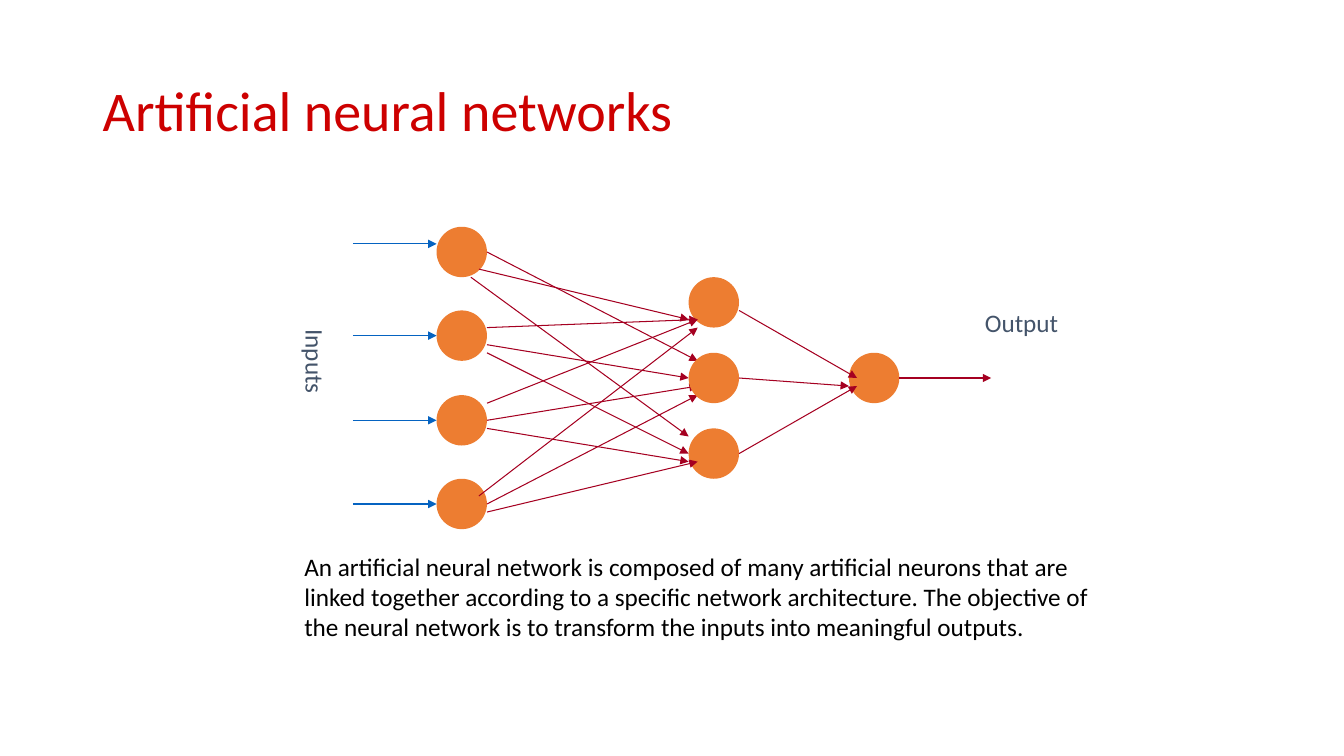
from dataclasses import dataclass

from lxml import etree
from pptx import Presentation
from pptx.dml.color import RGBColor as Rgb
from pptx.enum.shapes import MSO_CONNECTOR as Connector, MSO_SHAPE as Shape
from pptx.enum.text import MSO_ANCHOR as Anchor
from pptx.oxml.ns import qn
from pptx.util import Inches, Pt


@dataclass(frozen=True)
class Theme:
    font: str = "Calibri"
    title_size: int = 40
    body_size: int = 18
    line_width: float = 0.75
    title: str = "CD0000"
    label: str = "44546A"
    body: str = "000000"
    neuron: str = "ED7D31"
    link: str = "A50021"
    input: str = "0563C1"


class SlideBuilder:
    """Holds the theme and the slide being drawn."""

    def __init__(self, slide, theme):
        self.shapes = slide.shapes
        self.theme = theme

    def text(self, words, left, top, width, height, color, size=None,
             anchor=Anchor.TOP, spacing=None, vertical=False):
        box = self.shapes.add_textbox(
            Inches(left), Inches(top), Inches(width), Inches(height))
        frame = box.text_frame
        frame.word_wrap = True
        frame.vertical_anchor = anchor
        if vertical:
            frame._txBody.bodyPr.set("vert", "eaVert")
        paragraph = frame.paragraphs[0]
        paragraph.text = words
        if spacing:
            paragraph.line_spacing = spacing
        font = paragraph.font
        font.name = self.theme.font
        font.size = Pt(size or self.theme.body_size)
        font.color.rgb = Rgb.from_string(color)

    def neuron(self, left, top):
        circle = self.shapes.add_shape(
            Shape.OVAL, Inches(left), Inches(top),
            Inches(NEURON_SIZE), Inches(NEURON_SIZE))
        circle.shadow.inherit = False
        circle.fill.solid()
        circle.fill.fore_color.rgb = Rgb.from_string(self.theme.neuron)
        circle.line.fill.background()

    def arrow(self, x1, y1, x2, y2, color):
        link = self.shapes.add_connector(
            Connector.STRAIGHT, Inches(x1), Inches(y1), Inches(x2), Inches(y2))
        link.line.width = Pt(self.theme.line_width)
        link.line.color.rgb = Rgb.from_string(color)
        etree.SubElement(link.line._ln, qn("a:tailEnd"), type="triangle")
        etree.SubElement(link._element.spPr, qn("a:effectLst"))


NEURON_SIZE = 0.5
INPUT_X, HIDDEN_X, OUTPUT_X = 4.33, 6.83, 8.42
INPUT_TOPS = [round(2.25 + i * 2.5 / 3, 2) for i in range(4)]
HIDDEN_TOPS = [2.75 + i * 0.75 for i in range(3)]
OUTPUT_TOP = 3.5

# Links as x1, y1, x2, y2
TO_MIDDLE_HIDDEN = [
    (4.83, 2.5, 6.92, 3.58),
    (4.83, 3.42, 6.83, 3.75),
    (4.83, 4.17, 6.92, 3.83),
    (4.83, 5, 6.92, 3.92),
]
TO_OUTER_HIDDEN = [
    (4.75, 2.67, 6.83, 3.17),
    (4.67, 2.75, 6.83, 4.33),
    (4.83, 3.25, 6.92, 3.17),
    (4.83, 3.5, 6.83, 4.5),
    (4.83, 4, 6.92, 3.17),
    (4.83, 4.25, 6.83, 4.58),
    (4.75, 4.92, 6.92, 3.25),
    (4.83, 5.08, 6.92, 4.58),
]
TO_OUTPUT = [
    (7.33, 3.08, 8.5, 3.75),
    (7.33, 3.75, 8.42, 3.83),
    (7.33, 4.5, 8.5, 3.83),
    (8.92, 3.75, 9.83, 3.75),
]
INPUT_ARROW_YS = [2.42, 3.33, 4.17, 5]


def main():
    deck = Presentation()
    deck.slide_width, deck.slide_height = Inches(13.33), Inches(7.5)
    theme = Theme()
    page = SlideBuilder(deck.slides.add_slide(deck.slide_layouts[6]), theme)

    # Title
    page.text("Artificial neural networks", 0.92, 0.4, 11.5, 1.45, theme.title,
              theme.title_size, Anchor.MIDDLE, spacing=0.9)

    # Input layer, with the links that run beneath the hidden layer
    for top in INPUT_TOPS:
        page.neuron(INPUT_X, top)
    for ends in TO_MIDDLE_HIDDEN:
        page.arrow(*ends, theme.link)

    # Hidden layer
    for top in HIDDEN_TOPS:
        page.neuron(HIDDEN_X, top)
    for ends in TO_OUTER_HIDDEN:
        page.arrow(*ends, theme.link)

    # Output layer
    page.neuron(OUTPUT_X, OUTPUT_TOP)
    for ends in TO_OUTPUT:
        page.arrow(*ends, theme.link)

    # Incoming arrows
    for y in INPUT_ARROW_YS:
        page.arrow(3.5, y, INPUT_X, y, theme.input)

    # Labels and explanation
    page.text("Inputs", 2.83, 3.17, 0.5, 1.67, theme.label, vertical=True)
    page.text("Output", 9.67, 3, 1.33, 0.4, theme.label)
    page.text(
        "An artificial neural network is composed of many artificial neurons "
        "that are linked together according to a specific network "
        "architecture. The objective of the neural network is to transform "
        "the inputs into meaningful outputs.",
        2.92, 5.42, 8.17, 1.01, theme.body)

    deck.save("out.pptx")


if __name__ == "__main__":
    main()
